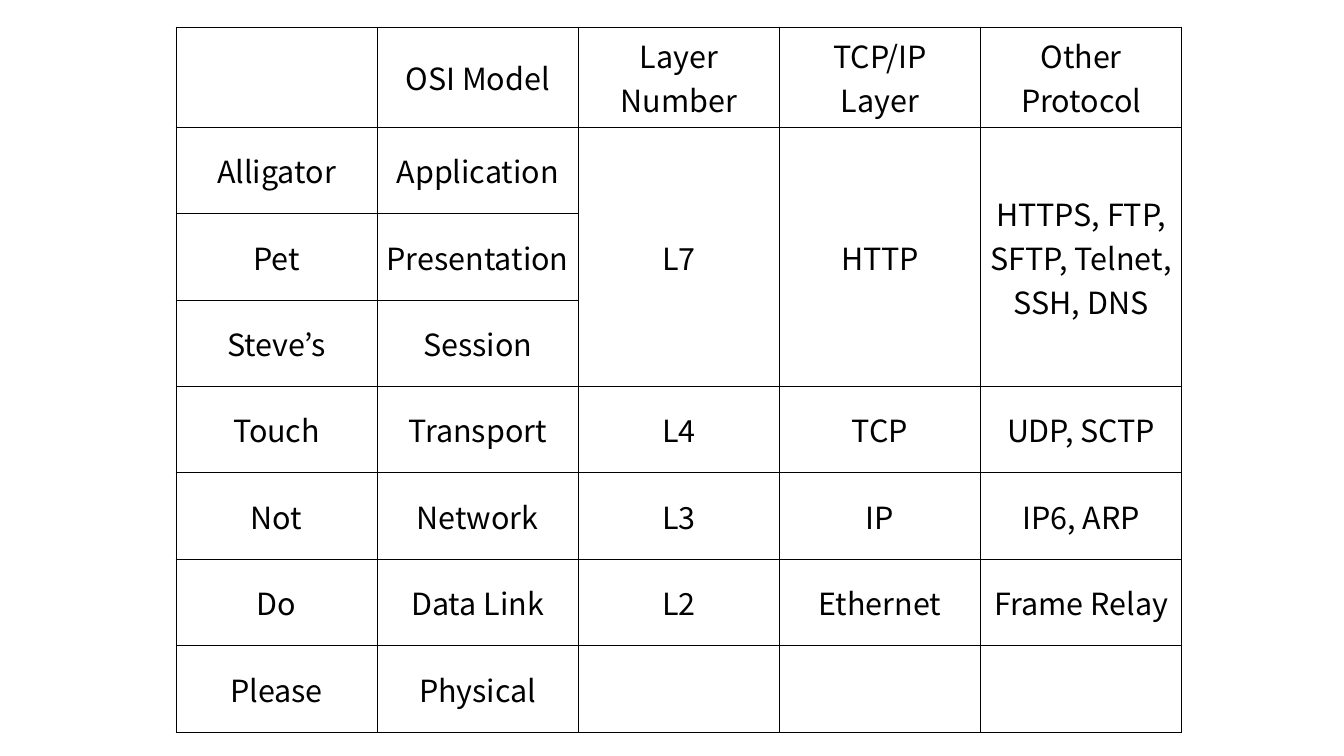
from lxml.etree import SubElement
from pptx import Presentation
from pptx.dml.color import RGBColor
from pptx.enum.text import MSO_ANCHOR, PP_ALIGN
from pptx.oxml.ns import qn
from pptx.util import Pt

EMU_PER_PX = 914400 / 122
BLACK = RGBColor(0, 0, 0)
WHITE = RGBColor(255, 255, 255)
FONT = "Noto Sans CJK KR"
TEXT_SIZE = Pt(18)
BORDER_WIDTH = Pt(0.57)

HEADER_HEIGHT = 100
LAYERS_HEIGHT = 605

HEADER = ["", "OSI Model", "Layer\nNumber", "TCP/IP\nLayer", "Other Protocol"]
LAYERS = [
    ["Alligator", "Application", "L7", "HTTP", "HTTPS, FTP, SFTP, Telnet, SSH, DNS"],
    ["Pet", "Presentation", "", "", ""],
    ["Steve’s", "Session", "", "", ""],
    ["Touch", "Transport", "L4", "TCP", "UDP, SCTP"],
    ["Not", "Network", "L3", "IP", "IP6, ARP"],
    ["Do", "Data Link", "L2", "Ethernet", "Frame Relay"],
    ["Please", "Physical", "", "", ""],
]
# The top three OSI layers share one cell in each of these columns.
SHARED_COLUMNS = (2, 3, 4)
SHARED_ROWS = (1, 3)


def px(length):
    return round(length * EMU_PER_PX)


def draw_borders(cell):
    properties = cell._tc.get_or_add_tcPr()
    for side in ("lnL", "lnR", "lnT", "lnB"):
        border = SubElement(properties, qn(f"a:{side}"), w=str(BORDER_WIDTH))
        fill = SubElement(border, qn("a:solidFill"))
        SubElement(fill, qn("a:srgbClr"), val=str(BLACK))


def fill_cell(cell, wording):
    draw_borders(cell)
    cell.fill.solid()
    cell.fill.fore_color.rgb = WHITE
    cell.vertical_anchor = MSO_ANCHOR.MIDDLE
    cell.margin_left = cell.margin_right = px(5)
    cell.margin_top = cell.margin_bottom = px(6)
    cell.text_frame.text = wording
    for paragraph in cell.text_frame.paragraphs:
        paragraph.alignment = PP_ALIGN.CENTER
        for run in paragraph.runs:
            run.font.name = FONT
            run.font.size = TEXT_SIZE
            run.font.color.rgb = BLACK


def add_layer_table(slide, left, top, width):
    rows = [HEADER, *LAYERS]
    height = HEADER_HEIGHT + LAYERS_HEIGHT
    table = slide.shapes.add_table(
        len(rows), len(HEADER), px(left), px(top), px(width), px(height)
    ).table
    table.first_row = False
    table.horz_banding = False

    for row in table.rows:
        row.height = px(LAYERS_HEIGHT) // len(LAYERS)
    table.rows[0].height = px(HEADER_HEIGHT)

    for row_index, wordings in enumerate(rows):
        for column_index, wording in enumerate(wordings):
            fill_cell(table.cell(row_index, column_index), wording)

    first, last = SHARED_ROWS
    for column in SHARED_COLUMNS:
        table.cell(first, column).merge(table.cell(last, column))


def main():
    presentation = Presentation()
    presentation.slide_width = px(1344)
    presentation.slide_height = px(756)
    slide = presentation.slides.add_slide(presentation.slide_layouts[6])
    add_layer_table(slide, left=176, top=27, width=1006)
    presentation.save("out.pptx")


if __name__ == "__main__":
    main()
